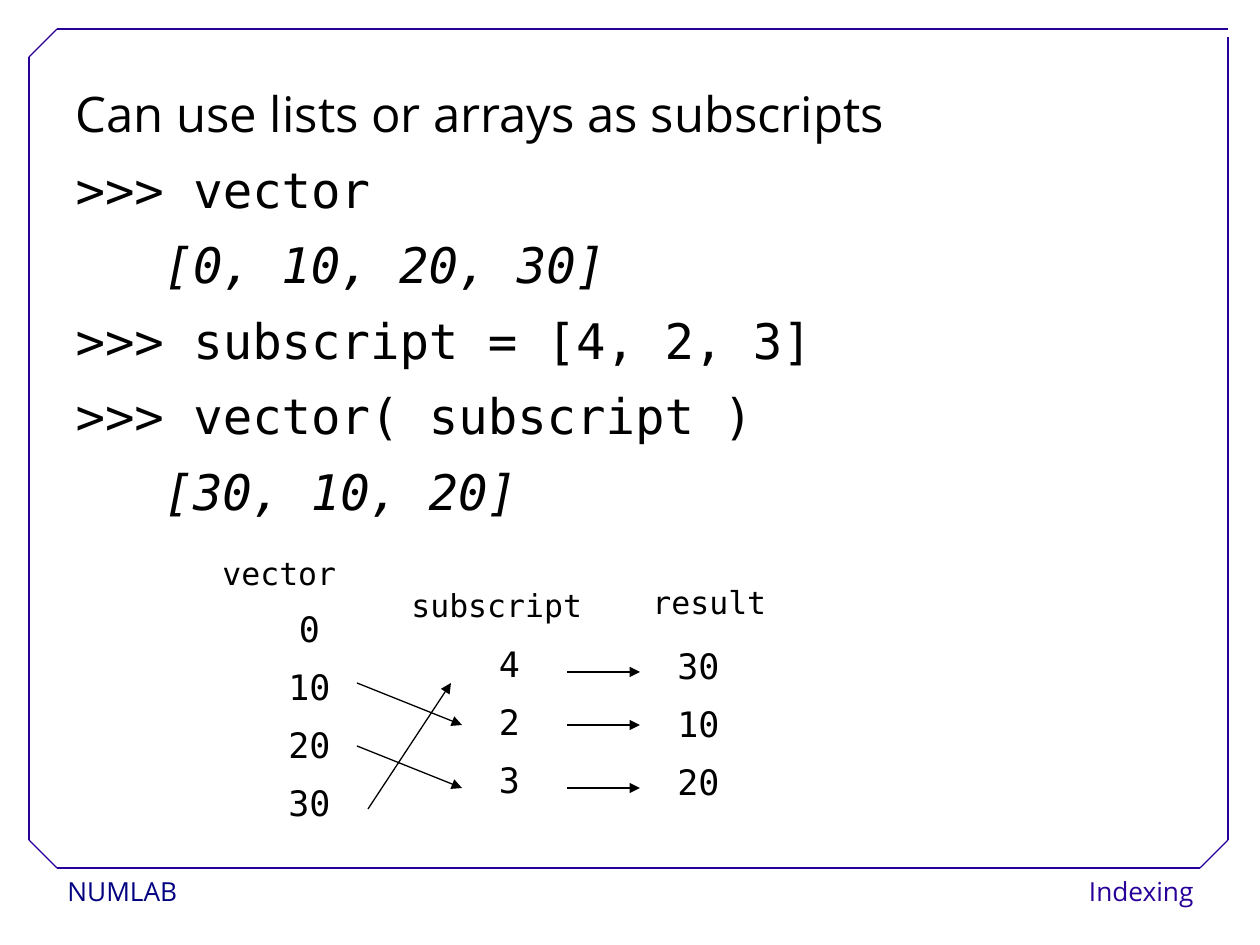
from lxml import etree
from pptx import Presentation
from pptx import util as u
from pptx.dml.color import RGBColor
from pptx.enum import shapes, text
from pptx.oxml.ns import qn

COLORS = {"ink": "000000", "frame": "280099", "navy": "000080", "paper": "FFFFFF"}
SANS, MONO = "Open Sans", "DejaVu Sans Mono"


def px(value):
    return u.Emu(round(value * 914400 / 126))


class SlideBuilder:
    """Holds the style and the current slide, and adds each kind of element."""

    def __init__(self, presentation):
        self.slide = presentation.slides.add_slide(presentation.slide_layouts[1])
        title = self.slide.shapes.title
        title.element.getparent().remove(title.element)

    def style(self, paragraph, size, name, color="ink", italic=False):
        font = paragraph.font
        font.size, font.name, font.italic = u.Pt(size), name, italic
        font.color.rgb = RGBColor.from_string(COLORS[color])

    def body(self, box, lines):
        shape = self.slide.placeholders[1]
        shape.left, shape.top, shape.width, shape.height = map(px, box)
        frame = shape.text_frame
        frame.auto_size = text.MSO_AUTO_SIZE.NONE
        frame.text = "\n".join(line for line, *_ in lines)
        for paragraph, (_, name, is_output) in zip(frame.paragraphs, lines):
            self.style(paragraph, 28, name, italic=is_output)
            paragraph.line_spacing = 0.9
            paragraph.space_before, paragraph.space_after = u.Pt(0), u.Pt(12.9)
            properties = paragraph._p.get_or_add_pPr()
            margin, indent = (88, 0) if is_output else (43, -43)
            properties.set("marL", str(px(margin)))
            properties.set("indent", str(px(indent)))
            properties.insert_element_before(
                properties.makeelement(qn("a:buNone")), "a:tabLst", "a:defRPr")

    def label(self, box, words, size=18, name=MONO, color="ink", align="LEFT"):
        shape = self.slide.shapes.add_textbox(*map(px, box))
        shape.text_frame.word_wrap = True
        paragraph = shape.text_frame.paragraphs[0]
        paragraph.text = words
        paragraph.alignment = getattr(text.PP_ALIGN, align)
        self.style(paragraph, size, name, color)
        return shape

    def footer(self, box, words, color, align):
        shape = self.label(box, words, 15, SANS, color, align)
        shape.fill.solid()
        shape.fill.fore_color.rgb = RGBColor.from_string(COLORS["paper"])
        shape.text_frame.word_wrap = False
        shape.text_frame.paragraphs[0].line_spacing = 1.02

    def column(self, left, top, values, width=73, row_height=58):
        box = (left, top, width, row_height * len(values))
        table = self.slide.shapes.add_table(len(values), 1, *map(px, box)).table
        table.first_row = table.horz_banding = False
        for cell, value in zip(table.iter_cells(), values):
            cell.fill.background()
            cell.text = str(value)
            paragraph = cell.text_frame.paragraphs[0]
            paragraph.alignment = text.PP_ALIGN.CENTER
            paragraph.line_spacing = 0.93
            self.style(paragraph, 20, MONO)

    def line(self, start, end, color="ink", arrow=False):
        connector = self.slide.shapes.add_connector(
            shapes.MSO_CONNECTOR.STRAIGHT, *map(px, start + end))
        connector.line.width = u.Pt(0.75)
        connector.line.color.rgb = RGBColor.from_string(COLORS[color])
        if arrow:
            etree.SubElement(connector.line._ln, qn("a:tailEnd"), type="triangle")
        etree.SubElement(connector._element.spPr, qn("a:effectLst"))


def main():
    presentation = Presentation()
    presentation.slide_width, presentation.slide_height = px(1260), px(945)
    builder = SlideBuilder(presentation)

    builder.footer((55, 868, 246, 47), "NUMLAB", "navy", "LEFT")
    builder.footer((1046, 868, 160, 47), "Indexing", "frame", "RIGHT")

    left, top, right, bottom, cut = 29, 29, 1228, 868, 28
    for start, end in (
        ((left + cut, bottom), (right - cut, bottom)),
        ((left, bottom - cut), (left, top + cut)),
        ((left + cut, top), (right, top)),
        ((right, bottom - cut), (right, top + 8)),
        ((left, top + cut), (left + cut, top)),
        ((right - cut, bottom), (right, bottom - cut)),
        ((left, bottom - cut), (left + cut, bottom)),
    ):
        builder.line(start, end, "frame")

    builder.body((63, 84, 1134, 766), [
        ("Can use lists or arrays as subscripts", SANS, False),
        (">>> vector", MONO, False),
        ("[0, 10, 20, 30]", MONO, True),
        (">>> subscript = [4, 2, 3]", MONO, False),
        (">>> vector( subscript )", MONO, False),
        ("[30, 10, 20]", MONO, True),
    ])

    builder.column(273, 606, [0, 10, 20, 30])
    builder.column(473, 641, [4, 2, 3])
    builder.column(662, 643, [30, 10, 20])

    builder.label((210, 548, 158, 50), "vector")
    builder.label((399, 580, 200, 50), "subscript")
    builder.label((640, 577, 148, 50), "result")

    builder.line((368, 809), (451, 683), arrow=True)
    for y in (683, 746):
        builder.line((357, y), (462, y + 42), arrow=True)
    for y in (672, 725, 788):
        builder.line((567, y), (640, y), arrow=True)

    presentation.save("out.pptx")


if __name__ == "__main__":
    main()
